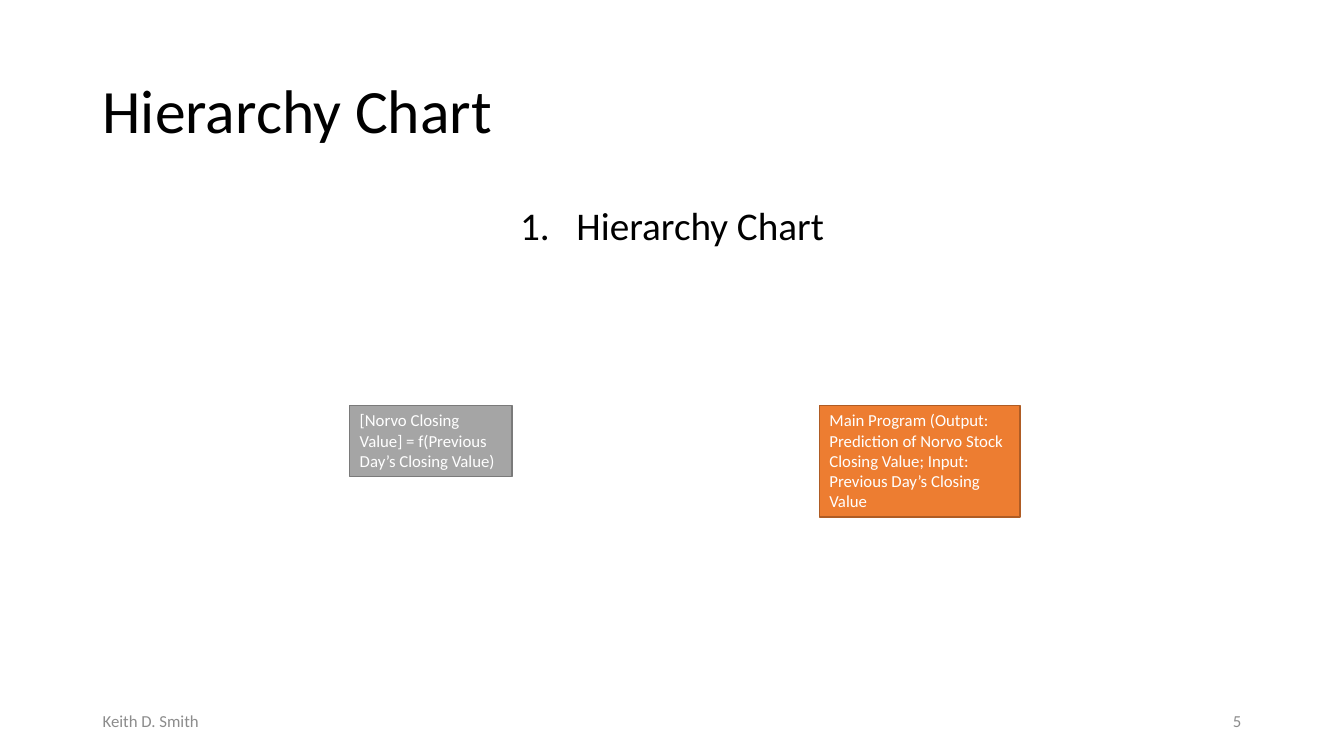
from lxml import etree
from pptx import Presentation, util as u
from pptx.dml.color import RGBColor
from pptx.enum import shapes, text

HUES = {"ink": "000000", "note": "8C8C8C", "white": "FFFFFF",
        "gray": "A5A5A5", "gray_edge": "7A7A7A",
        "rust": "ED7D31", "rust_edge": "AF5C24"}
LEFT, MID, RIGHT = text.PP_ALIGN.LEFT, text.PP_ALIGN.CENTER, text.PP_ALIGN.RIGHT
TOP, HALF = text.MSO_ANCHOR.TOP, text.MSO_ANCHOR.MIDDLE


def hue(name):
    """Return the named colour."""
    return RGBColor.from_string(HUES[name])


def write(shape, words, size, color, align=LEFT, anchor=TOP):
    """Fill a shape with one styled paragraph and return the paragraph."""
    frame = shape.text_frame
    frame.word_wrap = True
    frame.vertical_anchor = anchor
    para = frame.paragraphs[0]
    para.text = words
    para.alignment = align
    para.font.name = "Calibri"
    para.font.size = u.Pt(size)
    para.font.color.rgb = hue(color)
    return para


deck = Presentation()
deck.slide_width, deck.slide_height = u.Inches(13.333), u.Inches(7.5)
slide = deck.slides.add_slide(deck.slide_layouts[6])

# Page frame
edge = u.Inches(0.92)
wide = deck.slide_width - 2 * edge
foot = u.Inches(3)
last = deck.slide_width - edge - foot

# Title, numbered heading and footer
labels = [
    ("Hierarchy Chart", edge, 0.4, wide, 1.45, 44, "ink", LEFT, HALF),
    ("Hierarchy Chart", edge, 2, wide, 4.76, 28, "ink", MID, TOP),
    ("Keith D. Smith", edge, 6.95, foot, 0.4, 12, "note", LEFT, HALF),
    ("5", last, 6.95, foot, 0.4, 12, "note", RIGHT, HALF),
]
paras = []
for words, left, top, width, height, *style in labels:
    box = slide.shapes.add_textbox(left, u.Inches(top), width, u.Inches(height))
    paras.append(write(box, words, *style))

title, heading = paras[:2]
title.line_spacing = heading.line_spacing = 0.9
heading.space_before = u.Pt(10)
props = heading._p.get_or_add_pPr()
indent = u.Inches(0.56)
props.set("marL", str(indent))
props.set("indent", str(-indent))
space = "{http://schemas.openxmlformats.org/drawingml/2006/main}"
bullet = etree.Element(space + "buAutoNum", type="arabicPeriod")
props.find(space + "spcBef").addnext(bullet)

# Program blocks share one row
row = u.Inches(4.02)
blocks = [
    ("[Norvo Closing Value] = f(Previous Day’s Closing Value)",
     3.47, 1.61, 0.71, "gray"),
    ("Main Program (Output: Prediction of Norvo Stock Closing Value; "
     "Input: Previous Day’s Closing Value", 8.13, 1.99, 1.11, "rust"),
]
for words, left, width, height, tone in blocks:
    block = slide.shapes.add_shape(shapes.MSO_SHAPE.RECTANGLE, u.Inches(left), row,
                                   u.Inches(width), u.Inches(height))
    block.shadow.inherit = False
    block.fill.solid()
    block.fill.fore_color.rgb = hue(tone)
    block.line.color.rgb = hue(tone + "_edge")
    block.line.width = u.Pt(1)
    write(block, words, 12, "white")
    block.text_frame.auto_size = text.MSO_AUTO_SIZE.SHAPE_TO_FIT_TEXT

deck.save("out.pptx")
